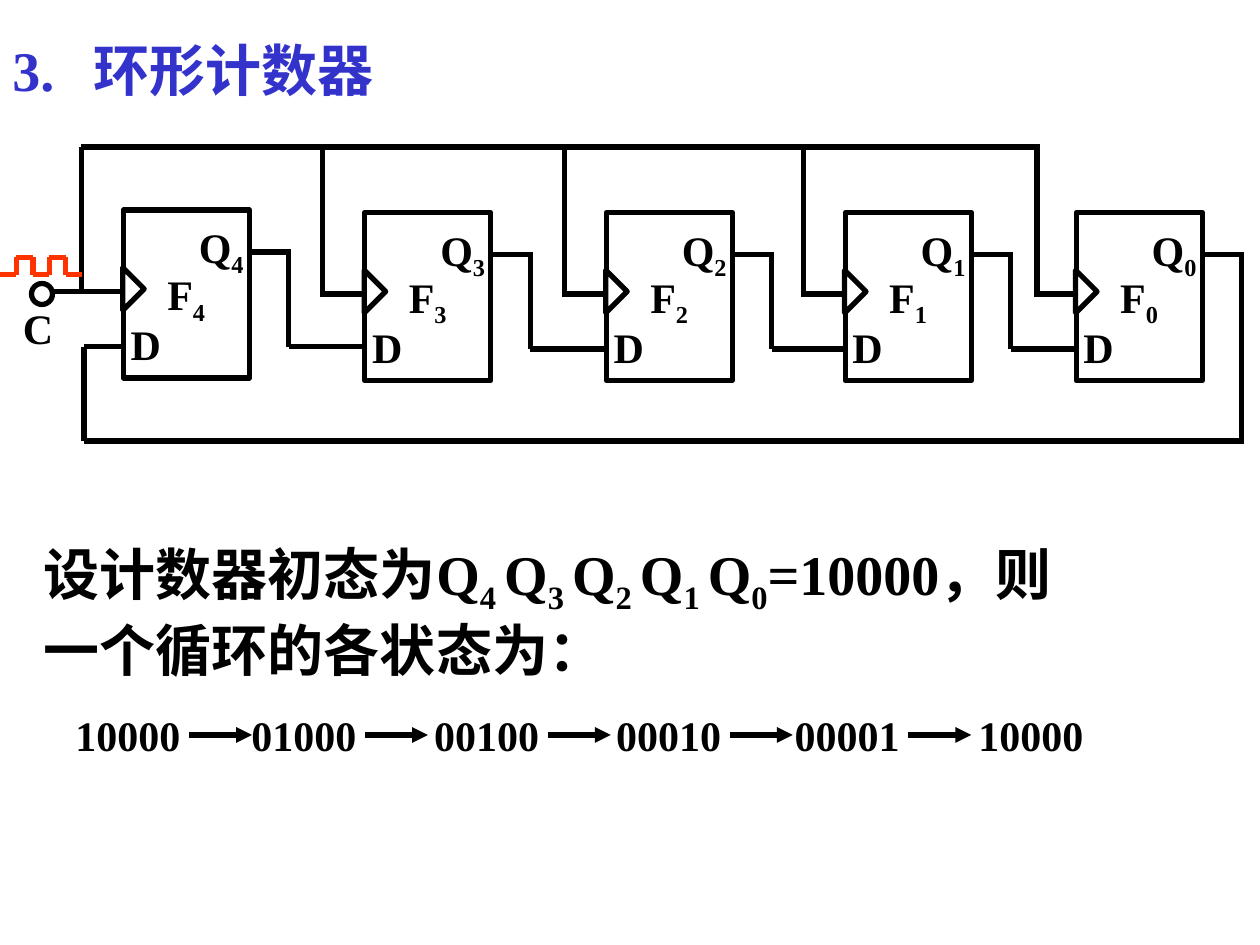
from itertools import pairwise

from lxml.etree import SubElement
from pptx import Presentation
from pptx.dml.color import RGBColor
from pptx.enum.shapes import MSO_CONNECTOR, MSO_SHAPE
from pptx.enum.text import MSO_AUTO_SIZE
from pptx.oxml.ns import qn
from pptx.util import Pt

BLACK = RGBColor(0x00, 0x00, 0x00)
WHITE = RGBColor(0xFF, 0xFF, 0xFF)
BLUE = RGBColor(0x33, 0x33, 0xCC)
RED = RGBColor(0xFF, 0x33, 0x00)
LINE_WIDTH = Pt(3)

deck = Presentation()
deck.slide_width, deck.slide_height = Pt(720), Pt(540)
slide = deck.slides.add_slide(deck.slide_layouts[6])


def add_wire(points, color=BLACK, arrow=False):
    """Join each point to the next with a straight line."""
    for start, end in pairwise(points):
        wire = slide.shapes.add_connector(
            MSO_CONNECTOR.STRAIGHT, *map(Pt, start), *map(Pt, end))
        wire.line.color.rgb = color
        wire.line.width = LINE_WIDTH
        SubElement(wire._element.spPr, qn("a:effectLst"))
        if arrow:
            SubElement(wire.line._get_or_add_ln(), qn("a:tailEnd"), type="triangle")


def add_label(left, top, width, height, parts, size=24, color=BLACK, tab=None):
    """Write text whose parts alternate between normal and subscript."""
    label = slide.shapes.add_textbox(Pt(left), Pt(top), Pt(width), Pt(height))
    label.text_frame.word_wrap = True
    label.text_frame.auto_size = MSO_AUTO_SIZE.SHAPE_TO_FIT_TEXT
    paragraph = label.text_frame.paragraphs[0]
    if tab:
        stops = SubElement(paragraph._p.get_or_add_pPr(), qn("a:tabLst"))
        SubElement(stops, qn("a:tab"), pos=str(Pt(tab)), algn="l")
    font_format = {"name": "Times New Roman", "size": Pt(size), "bold": True}
    for index, part in enumerate(parts):
        run = paragraph.add_run()
        run.text = part
        for attribute, value in font_format.items():
            setattr(run.font, attribute, value)
        run.font.color.rgb = color
        if index % 2:
            run._r.get_or_add_rPr().set("baseline", "-25000")


# Title
add_label(0, 16.5, 252, 46, ["3.\t环形计数器"], size=32, color=BLUE, tab=46.5)

# Flip-flops F4 to F0: number, left, top, clock tap
BUS_Y, FEEDBACK_Y = 84, 252
flip_flops = [
    (4, 70.5, 120, 46.5),
    (3, 208.5, 121.5, 184.5),
    (2, 346.5, 121.5, 322.5),
    (1, 483, 121.5, 459),
    (0, 615, 121.5, 592.5),
]
outlines = []
for number, left, top, tap in flip_flops:
    body = slide.shapes.add_shape(
        MSO_SHAPE.RECTANGLE, Pt(left), Pt(top), Pt(72), Pt(96))
    clock_input = slide.shapes.add_shape(
        MSO_SHAPE.ISOSCELES_TRIANGLE, Pt(left - 6.5), Pt(top + 39), Pt(24.5), Pt(12.25))
    clock_input.rotation = 90
    outlines += [body, clock_input]

    add_label(left + 36, top + 3, 48, 40, ["Q", str(number)])
    add_label(left - 3, top + 58.5, 48, 36, ["D"])
    add_label(left + 18, top + 30, 48, 40, ["F", str(number)])

    # Clock branch from the bus
    clock_start = 24 if number == 4 else left - 24
    add_wire([(clock_start, top + 46.5), (left, top + 46.5)])
    add_wire([(tap, BUS_Y), (tap, top + 48)])

    # Output to the next D input, or down to the feedback wire
    turn = left + 94.5
    add_wire([(left + 72, top + 24), (turn + 1.5, top + 24)])
    if number:
        add_wire([(turn, top + 24), (turn, top + 78), (left + 136.5, top + 78)])
    else:
        add_wire([(turn, top + 24), (turn, FEEDBACK_Y)])

# Feedback wire and clock bus
add_wire([(72, 198), (48, 198), (48, FEEDBACK_Y), (711, FEEDBACK_Y)])
add_wire([(46.5, BUS_Y), (594, BUS_Y)])

# Clock terminal
terminal = slide.shapes.add_shape(MSO_SHAPE.OVAL, Pt(18), Pt(162), Pt(12), Pt(12))
outlines.append(terminal)
add_label(6, 169.5, 48, 36, ["C"])

for outline in outlines:
    outline.shadow.inherit = False
    outline.fill.solid()
    outline.fill.fore_color.rgb = WHITE
    outline.line.color.rgb = BLACK
    outline.line.width = LINE_WIDTH

# Clock pulses
LOW, HIGH, PULSE_STEP = 157, 147, 9.4
pulse = []
for step in range(5):
    level = HIGH if step % 2 else LOW
    pulse += [(step * PULSE_STEP, level), ((step + 1) * PULSE_STEP, level)]
add_wire(pulse, RED)

# Initial state
add_label(18, 304.5, 612, 89, [
    "设计数器初态为Q", "4 ", "Q", "3 ", "Q", "2 ", "Q", "1 ", "Q", "0",
    "=10000，则一个循环的各状态为：",
], size=32)

# State cycle
states = [("10000", 36), ("01000", 136.5), ("00100", 241),
          ("00010", 345), ("00001", 447), ("10000", 552)]
for index, (state, left) in enumerate(states):
    add_label(left, 402, 84, 36, [state])
    if index < len(states) - 1:
        add_wire([(left + 72, 420), (left + 108, 420)], arrow=True)

deck.save("out.pptx")
